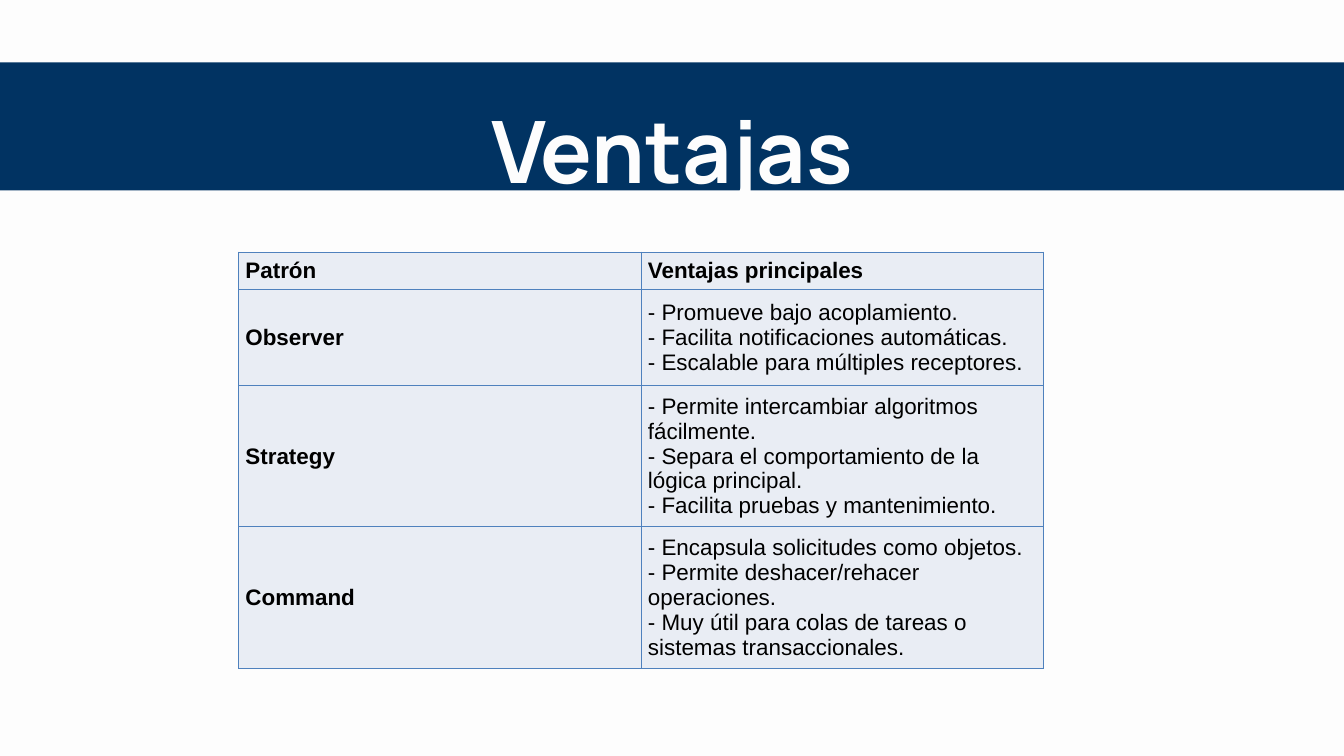
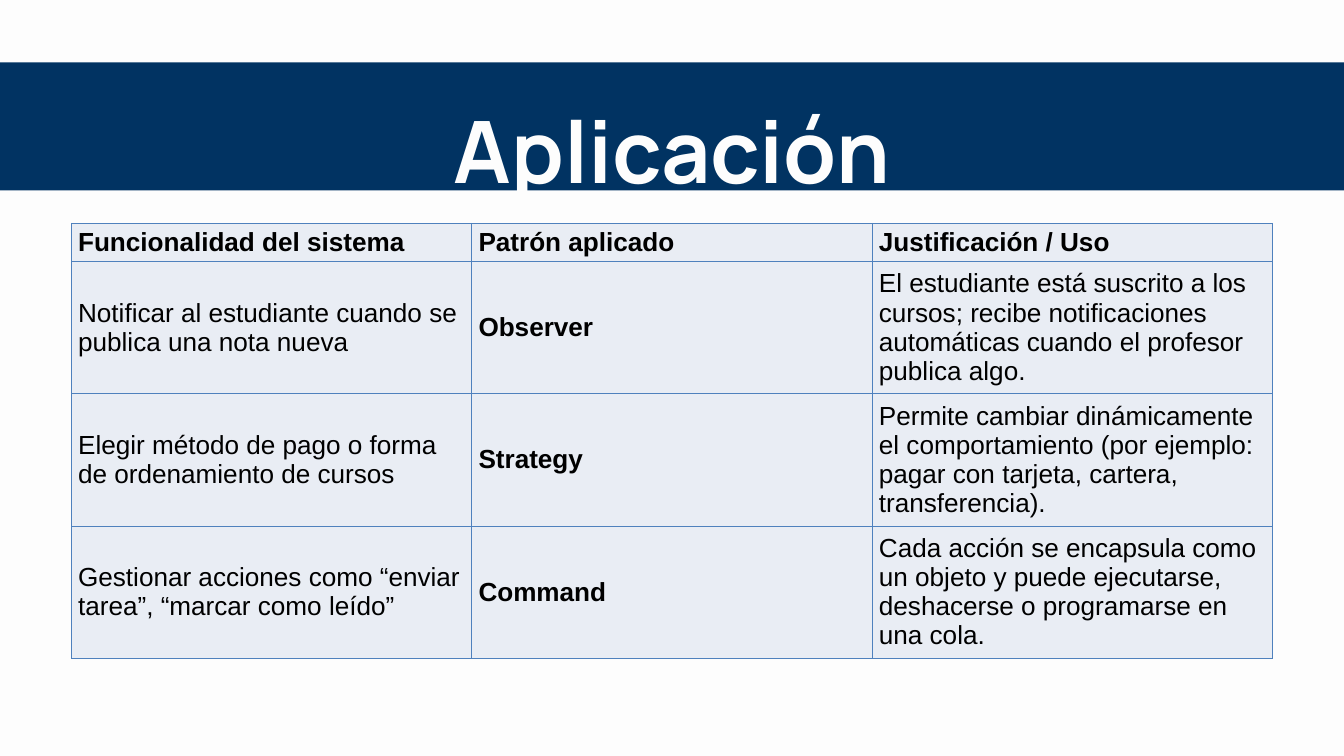
import pptx
import pptx.dml.color
import pptx.enum.shapes
import pptx.enum.text
import pptx.oxml
import pptx.oxml.ns
import pptx.util

# Shared look
PX = 9525
PAGE_WIDTH, PAGE_HEIGHT = 1920, 1080
PAPER, NAVY, INK = "FDFDFD", "013362", "000000"
CELL_FILL, CELL_LINE = "E9EDF4", "4F81BD"
TITLE_FONT, TABLE_FONT = "Manrope", "Arial"
HEADER_HEIGHT = 54

# Table content
ADVANTAGES = [
    ["Patrón", "Ventajas principales"],
    ["Observer", "- Promueve bajo acoplamiento.\v"
                 "- Facilita notificaciones automáticas.\v"
                 "- Escalable para múltiples receptores."],
    ["Strategy", "- Permite intercambiar algoritmos fácilmente.\v"
                 "- Separa el comportamiento de la lógica principal.\v"
                 "- Facilita pruebas y mantenimiento."],
    ["Command", "- Encapsula solicitudes como objetos.\v"
                "- Permite deshacer/rehacer operaciones.\v"
                "- Muy útil para colas de tareas o sistemas transaccionales."],
]
APPLICATIONS = [
    ["Funcionalidad del sistema", "Patrón aplicado", "Justificación / Uso"],
    ["Notificar al estudiante cuando se publica una nota nueva", "Observer",
     "El estudiante está suscrito a los cursos; recibe notificaciones "
     "automáticas cuando el profesor publica algo."],
    ["Elegir método de pago o forma de ordenamiento de cursos", "Strategy",
     "Permite cambiar dinámicamente el comportamiento (por ejemplo: "
     "pagar con tarjeta, cartera, transferencia)."],
    ["Gestionar acciones como “enviar tarea”, “marcar como leído”", "Command",
     "Cada acción se encapsula como un objeto y puede ejecutarse, "
     "deshacerse o programarse en una cola."],
]


def px(length):
    return pptx.util.Emu(length * PX)


def color(value):
    return pptx.dml.color.RGBColor.from_string(value)


def fill_solid(fill, value):
    fill.solid()
    fill.fore_color.rgb = color(value)


def set_font(paragraph, name, size, value, bold):
    font = paragraph.font
    font.name, font.size, font.bold = name, pptx.util.Pt(size), bold
    font.color.rgb = color(value)


def add_page(deck, heading):
    """Add a slide with its title on the navy band."""
    page = deck.slides.add_slide(deck.slide_layouts.get_by_name("Title Only"))
    title = page.shapes.title

    # Band behind the title, running past both slide edges
    band = page.shapes.add_shape(
        pptx.enum.shapes.MSO_SHAPE.RECTANGLE, px(-61), px(89), px(2043), px(183))
    band.shadow.inherit = False
    fill_solid(band.fill, NAVY)
    band.line.fill.background()
    title._element.addprevious(band._element)

    # Title text
    title.left, title.top, title.width, title.height = map(px, (168, 80, 1584, 208))
    frame = title.text_frame
    frame.text = heading
    frame.word_wrap = True
    frame.auto_size = pptx.enum.text.MSO_AUTO_SIZE.SHAPE_TO_FIT_TEXT
    frame.vertical_anchor = pptx.enum.text.MSO_ANCHOR.TOP
    frame.margin_left = frame.margin_right = frame.margin_top = frame.margin_bottom = 0
    para = frame.paragraphs[0]
    para.alignment = pptx.enum.text.PP_ALIGN.CENTER
    para.line_spacing = 1.4
    set_font(para, TITLE_FONT, 92.2, PAPER, True)
    return page


def add_borders(cell):
    properties = cell._tc.get_or_add_tcPr()
    for side in ("lnL", "lnR", "lnT", "lnB"):
        properties.append(pptx.oxml.parse_xml(
            f'<a:{side} {pptx.oxml.ns.nsdecls("a")} w="12700"><a:solidFill>'
            f'<a:srgbClr val="{CELL_LINE}"/></a:solidFill></a:{side}>'))


def add_grid(page, rows, left, top, column_width, row_heights, size, pattern_column):
    """Add a table whose header row and pattern column are bold."""
    columns = len(rows[0])
    table = page.shapes.add_table(
        len(rows), columns, px(left), px(top),
        px(column_width * columns), px(sum(row_heights))).table
    table.first_row = table.horz_banding = False
    for column in table.columns:
        column.width = px(column_width)
    for row_index, (texts, height) in enumerate(zip(rows, row_heights)):
        table.rows[row_index].height = px(height)
        for column_index, text in enumerate(texts):
            cell = table.cell(row_index, column_index)
            add_borders(cell)
            fill_solid(cell.fill, CELL_FILL)
            cell.vertical_anchor = pptx.enum.text.MSO_ANCHOR.MIDDLE
            para = cell.text_frame.paragraphs[0]
            para.text = text
            bold = row_index == 0 or column_index == pattern_column
            set_font(para, TABLE_FONT, size, INK, bold)


def main():
    deck = pptx.Presentation()
    deck.slide_width, deck.slide_height = px(PAGE_WIDTH), px(PAGE_HEIGHT)
    fill_solid(deck.slide_master.background.fill, PAPER)

    # Advantages of each pattern
    page = add_page(deck, "Ventajas")
    add_grid(page, ADVANTAGES, 341, 360, 575,
             [HEADER_HEIGHT, 137, 201, 201], 24, pattern_column=0)

    # Where each pattern is applied
    page = add_page(deck, "Aplicación")
    add_grid(page, APPLICATIONS, 102, 319, 572,
             [HEADER_HEIGHT] + [189] * 3, 28, pattern_column=1)

    deck.save("out.pptx")


if __name__ == "__main__":
    main()
